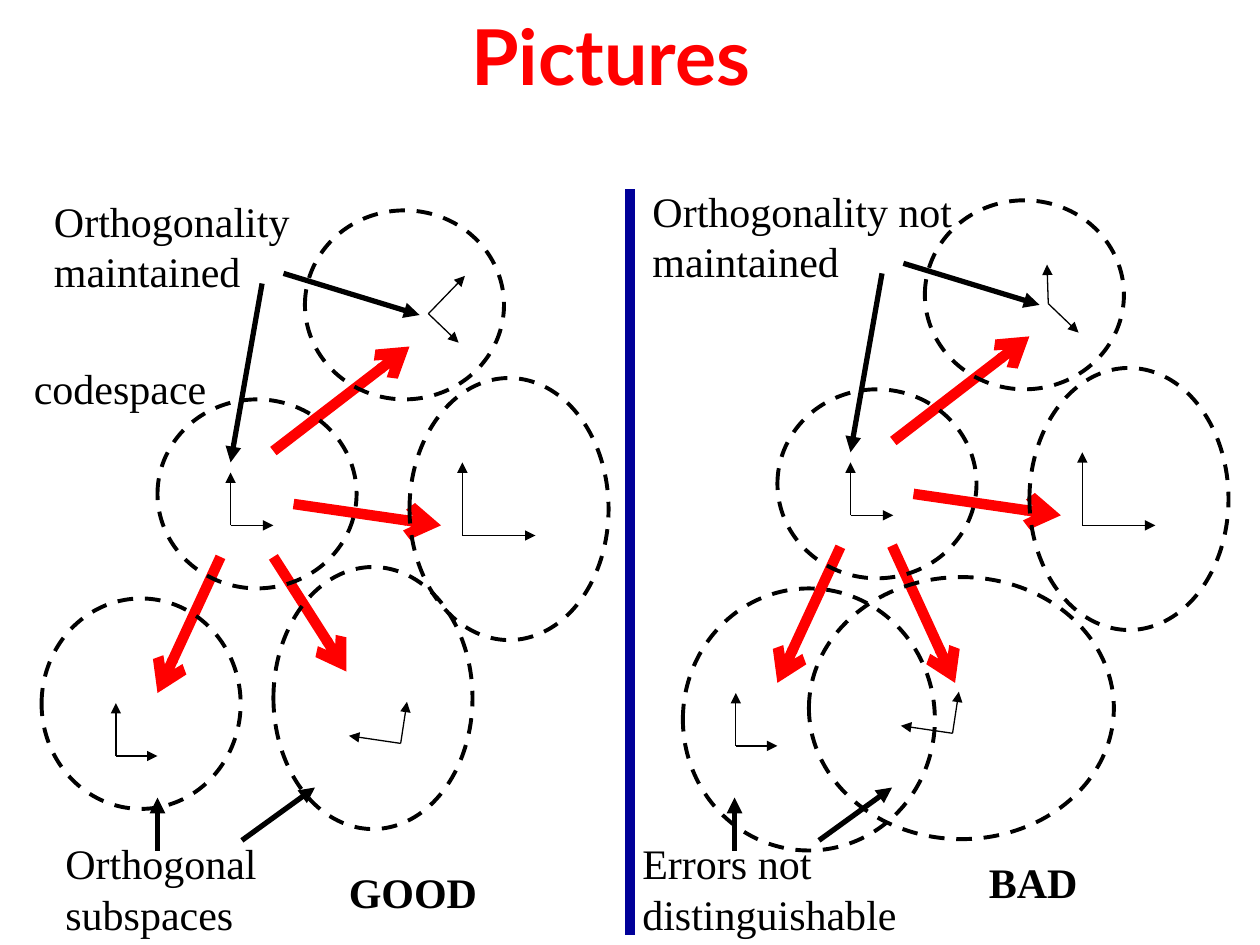
from dataclasses import dataclass

from lxml import etree
from pptx import Presentation
from pptx import util as u
from pptx.dml.color import RGBColor
from pptx.enum import dml, shapes, text
from pptx.oxml.ns import qn


@dataclass(frozen=True)
class Theme:
    black: str = "000000"
    red: str = "FF0000"
    navy: str = "000099"
    title_font: str = "Lato"
    body_font: str = "Times New Roman"
    title_size: float = 44
    body_size: float = 24
    axis_width: float = 0.75
    ellipse_width: float = 2.25
    pointer_width: float = 3
    heavy_width: float = 6


class Diagram:
    def __init__(self, page, theme):
        self.page = page
        self.theme = theme

    def format_text(self, frame, font, size, color, bold):
        for para in frame.paragraphs:
            para.alignment = text.PP_ALIGN.LEFT
            for span in para.runs:
                span.font.name = font
                span.font.size = u.Pt(size)
                span.font.bold = bold
                span.font.color.rgb = RGBColor.from_string(color)

    def place(self, shape, left, top, width, height):
        shape.left, shape.top = u.Inches(left), u.Inches(top)
        shape.width, shape.height = u.Inches(width), u.Inches(height)

    def title(self, words, *bounds):
        box = self.page.shapes.title
        self.place(box, *bounds)
        frame = box.text_frame
        frame.text = words
        frame.word_wrap = False
        frame.auto_size = text.MSO_AUTO_SIZE.NONE
        frame.vertical_anchor = text.MSO_ANCHOR.TOP
        self.format_text(frame, self.theme.title_font, self.theme.title_size,
                         self.theme.red, True)

    def label(self, words, left, top, width, height, bold=False):
        box = self.page.shapes.add_textbox(
            *(u.Inches(length) for length in (left, top, width, height)))
        frame = box.text_frame
        frame.word_wrap = True
        frame.text = words
        self.format_text(frame, self.theme.body_font, self.theme.body_size,
                         self.theme.black, bold)

    def line(self, start, end, color, width, head=None):
        connector = self.page.shapes.add_connector(
            shapes.MSO_CONNECTOR.STRAIGHT,
            *(u.Inches(length) for length in (*start, *end)))
        connector.line.color.rgb = RGBColor.from_string(color)
        connector.line.width = u.Pt(width)
        properties = connector._element.spPr
        if head:
            outline = properties.find(qn("a:ln"))
            etree.SubElement(outline, qn("a:tailEnd"), type=head)
        etree.SubElement(properties, qn("a:effectLst"))

    def axes(self, origin, *tips):
        for tip in tips:
            self.line(origin, tip, self.theme.black, self.theme.axis_width, "triangle")

    def error_arrow(self, start, end):
        self.line(start, end, self.theme.red, self.theme.heavy_width, "arrow")

    def pointer(self, start, end):
        self.line(start, end, self.theme.black, self.theme.pointer_width, "triangle")

    def subspace(self, left, top, width, height):
        ellipse = self.page.shapes.add_shape(
            shapes.MSO_SHAPE.OVAL,
            *(u.Inches(length) for length in (left, top, width, height)))
        ellipse.shadow.inherit = False
        ellipse.fill.background()
        ellipse.line.color.rgb = RGBColor.from_string(self.theme.black)
        ellipse.line.width = u.Pt(self.theme.ellipse_width)
        ellipse.line.dash_style = dml.MSO_LINE.DASH

    def half(self, dx, dy, foot_dx, tilt_dx, top_axes, last_error, lower_subspaces):
        """Draw one case: common parts moved by dx, dy, then the parts that differ."""
        def at(x, y):
            return x + dx, y + dy

        for x, y, rise, run in ((1.83, 4.17, 0.42, 0.34), (3.67, 4.25, 0.58, 0.58),
                                (0.92, 6, 0.42, 0.33)):
            self.axes(at(x, y), at(x, y - rise), at(x + run, y))
        self.axes((3.18 + tilt_dx, 5.9 + dy), (2.77 + tilt_dx, 5.84 + dy),
                  (3.23 + tilt_dx, 5.57 + dy))
        self.axes(*top_axes)

        for start, end in (((1.75, 4.42), (1.25, 5.5)), ((2.33, 4), (3.5, 4.17)),
                           ((2.17, 3.58), (3.25, 2.75))):
            self.error_arrow(at(*start), at(*end))
        self.error_arrow(*last_error)

        for bounds in lower_subspaces:
            self.subspace(*bounds)
        for x, y, height in ((3.25, 3, 2.08), (2.42, 1.67, 1.5), (1.25, 3.17, 1.5)):
            self.subspace(*at(x, y), 1.58, height)

        self.pointer(at(2.25, 2.17), at(3.33, 2.5))
        self.pointer(at(2.08, 2.25), at(1.83, 3.67))
        self.pointer((1.92 + foot_dx, 6.67), (2.5 + foot_dx, 6.25))
        self.pointer((1.25 + foot_dx, 6.75), (1.25 + foot_dx, 6.33))


def main():
    deck = Presentation()
    deck.slide_width, deck.slide_height = u.Inches(10), u.Inches(7.5)
    page = deck.slides.add_slide(deck.slide_layouts[5])
    theme = Theme()
    diagram = Diagram(page, theme)

    diagram.title("Pictures", 3.64, 0.02, 2.75, 0.84)
    diagram.half(
        0, 0, foot_dx=0, tilt_dx=0,
        top_axes=((3.4, 2.49), (3.69, 2.19), (3.64, 2.72)),
        last_error=((2.17, 4.42), (2.75, 5.33)),
        lower_subspaces=((0.33, 4.75, 1.58, 1.67), (2.17, 4.5, 1.58, 2.08)))
    diagram.half(
        4.92, -0.08, foot_dx=4.58, tilt_dx=4.38,
        top_axes=((8.32, 2.41), (8.31, 2.1), (8.56, 2.64)),
        last_error=((7.08, 4.33), (7.58, 5.42)),
        lower_subspaces=((5.42, 4.67, 2, 2.08), (6.42, 4.58, 2.42, 2.08)))

    for words, *bounds in (
            ("Orthogonality maintained", 0.33, 1.5, 2.08, 0.9),
            ("codespace", 0.17, 2.83, 1.58, 0.5),
            ("Orthogonal subspaces", 0.42, 6.6, 2.08, 0.9),
            ("Orthogonality not maintained", 5.08, 1.42, 2.58, 0.9),
            ("Errors not distinguishable", 5, 6.6, 2.5, 0.9)):
        diagram.label(words, *bounds)
    diagram.label("GOOD", 2.67, 6.83, 1.5, 0.5, bold=True)
    diagram.label("BAD", 7.75, 6.75, 1.25, 0.5, bold=True)
    diagram.line((5, 1.5), (5, 7.42), theme.navy, theme.heavy_width)

    deck.save("out.pptx")


if __name__ == "__main__":
    main()
